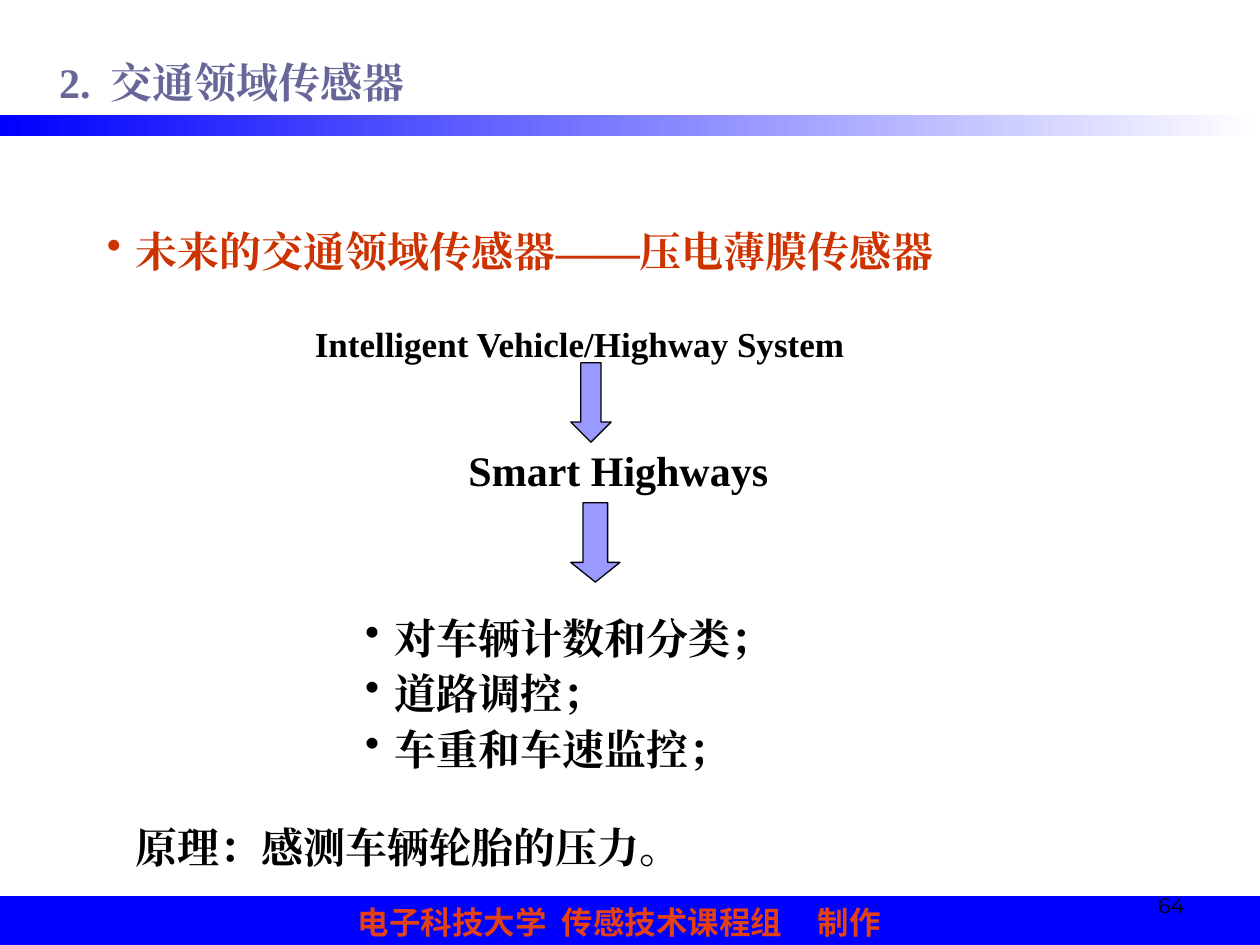
import dataclasses
import typing

import pptx
import pptx.dml.color
import pptx.enum.shapes
import pptx.enum.text
import pptx.oxml.xmlchemy
import pptx.util

Inches = pptx.util.Inches
Pt = pptx.util.Pt
Align = pptx.enum.text.PP_ALIGN
Anchor = pptx.enum.text.MSO_ANCHOR
Kind = pptx.enum.shapes.MSO_SHAPE
SERIF = "Times New Roman"
BLUE = "0000FF"
HANG = 0.23


@dataclasses.dataclass
class Label:
    box: tuple[float, float, float, float]
    lines: list[str]
    size: float = 24
    color: str = "000000"
    font: str = SERIF
    bold: bool = True
    space: float = 1.3
    align: typing.Any = Align.LEFT
    anchor: typing.Any = Anchor.TOP
    bullet: bool = False
    inset: float = 0.1
    tabs: tuple[float, ...] = ()


@dataclasses.dataclass
class Arrow:
    box: tuple[float, float, float, float]
    head: float


LABELS = [
    Label((7.17, 6.83, 2.33, 0.5), ["64"], 12, font="Montserrat", bold=False,
          space=1.0, align=Align.RIGHT, anchor=Anchor.BOTTOM),
    Label((0.37, 0.28, 6.05, 0.62), ["2.\t交通领域传感器"], color="666699", tabs=(0.41,)),
    Label((3.62, 3.36, 2.6, 0.62), ["Smart Highways"]),
    Label((2.4, 2.41, 4.53, 0.54), ["Intelligent Vehicle/Highway System"], 20),
    Label((2.8, 4.77, 3.94, 1.42), ["对车辆计数和分类；", "道路调控；", "车重和车速监控；"],
          space=1.1, bullet=True),
    Label((0.75, 1.62, 7.24, 0.62), ["未来的交通领域传感器——压电薄膜传感器"],
          color="CC3300", bullet=True),
    Label((0.98, 6.35, 7.09, 0.62), ["原理：感测车辆轮胎的压力。"]),
]
FOOT = Label((0, 7.12, 10, 0.4), ["电子科技大学\t传感技术课程组\t制作"], 18, "E34115",
             "Arial", space=1.0, inset=2.84, tabs=(1.62, 3.65))
ARROWS = [Arrow((4.53, 2.88, 0.32, 0.63), 0.5), Arrow((4.53, 3.99, 0.39, 0.63), 0.4)]


def tint(code: str) -> pptx.dml.color.RGBColor:
    return pptx.dml.color.RGBColor.from_string(code)


def apply(target: typing.Any, values: dict[str, typing.Any]) -> None:
    for name, value in values.items():
        setattr(target, name, value)


def child(parent: typing.Any, tag: str, **attrs: str) -> typing.Any:
    node = pptx.oxml.xmlchemy.OxmlElement(tag)
    for name, value in attrs.items():
        node.set(name, value)
    parent.append(node)
    return node


def mark(para: typing.Any, label: Label) -> None:
    props = para._p.get_or_add_pPr()
    if label.bullet:
        props.set("marL", str(Inches(HANG)))
        props.set("indent", str(-Inches(HANG)))
        child(child(props, "a:buClr"), "a:srgbClr", val=label.color)
        child(props, "a:buChar", char="•")
    if label.tabs:
        stops = child(props, "a:tabLst")
        for place in label.tabs:
            child(stops, "a:tab", pos=str(Inches(place)), algn="l")


def write(frame: typing.Any, label: Label) -> None:
    apply(frame, {
        "word_wrap": True, "vertical_anchor": label.anchor,
        "margin_left": Inches(label.inset), "margin_right": Inches(0.1),
        "margin_top": Inches(0.05), "margin_bottom": Inches(0.05),
    })
    for index, line in enumerate(label.lines):
        para = frame.paragraphs[0] if index == 0 else frame.add_paragraph()
        apply(para, {"alignment": label.align, "line_spacing": label.space})
        mark(para, label)
        run = para.add_run()
        run.text = line
        apply(run.font, {"name": label.font, "size": Pt(label.size), "bold": label.bold})
        run.font.color.rgb = tint(label.color)
        child(run._r.get_or_add_rPr(), "a:ea", typeface=label.font)


def block(slide: typing.Any, kind: typing.Any, box: tuple, fill: str, edge: str = "") -> typing.Any:
    shape = slide.shapes.add_shape(kind, *map(Inches, box))
    shape.shadow.inherit = False
    shape.fill.solid()
    shape.fill.fore_color.rgb = tint(fill)
    if edge:
        shape.line.color.rgb = tint(edge)
        shape.line.width = Pt(0.75)
    else:
        shape.line.fill.background()
    return shape


def main() -> None:
    deck = pptx.Presentation()
    apply(deck, {"slide_width": Inches(10), "slide_height": Inches(7.5)})
    slide = deck.slides.add_slide(deck.slide_layouts[6])

    band = block(slide, Kind.RECTANGLE, (0, 0.91, 10, 0.17), BLUE)
    band.fill.gradient()
    band.fill.gradient_angle = 0
    for stop, place, code in zip(band.fill.gradient_stops, (0, 1), (BLUE, "FFFFFF")):
        stop.position = place
        stop.color.rgb = tint(code)

    foot = block(slide, Kind.RECTANGLE, FOOT.box, BLUE, BLUE)
    write(foot.text_frame, FOOT)

    for label in LABELS:
        write(slide.shapes.add_textbox(*map(Inches, label.box)).text_frame, label)

    for arrow in ARROWS:
        shape = block(slide, Kind.DOWN_ARROW, arrow.box, "9999FF", "000000")
        shape.adjustments[0] = 0.5
        shape.adjustments[1] = arrow.head

    deck.save("out.pptx")


if __name__ == "__main__":
    main()
